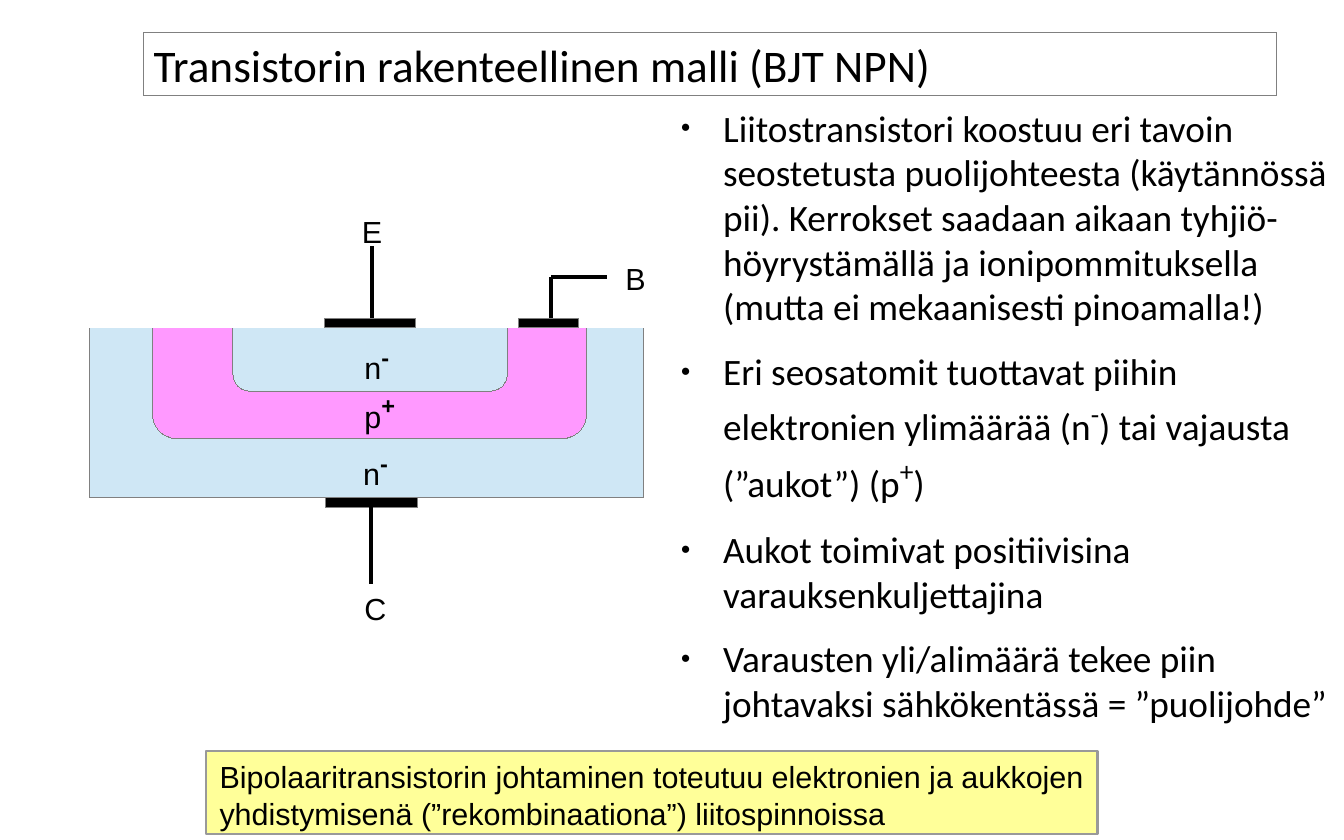
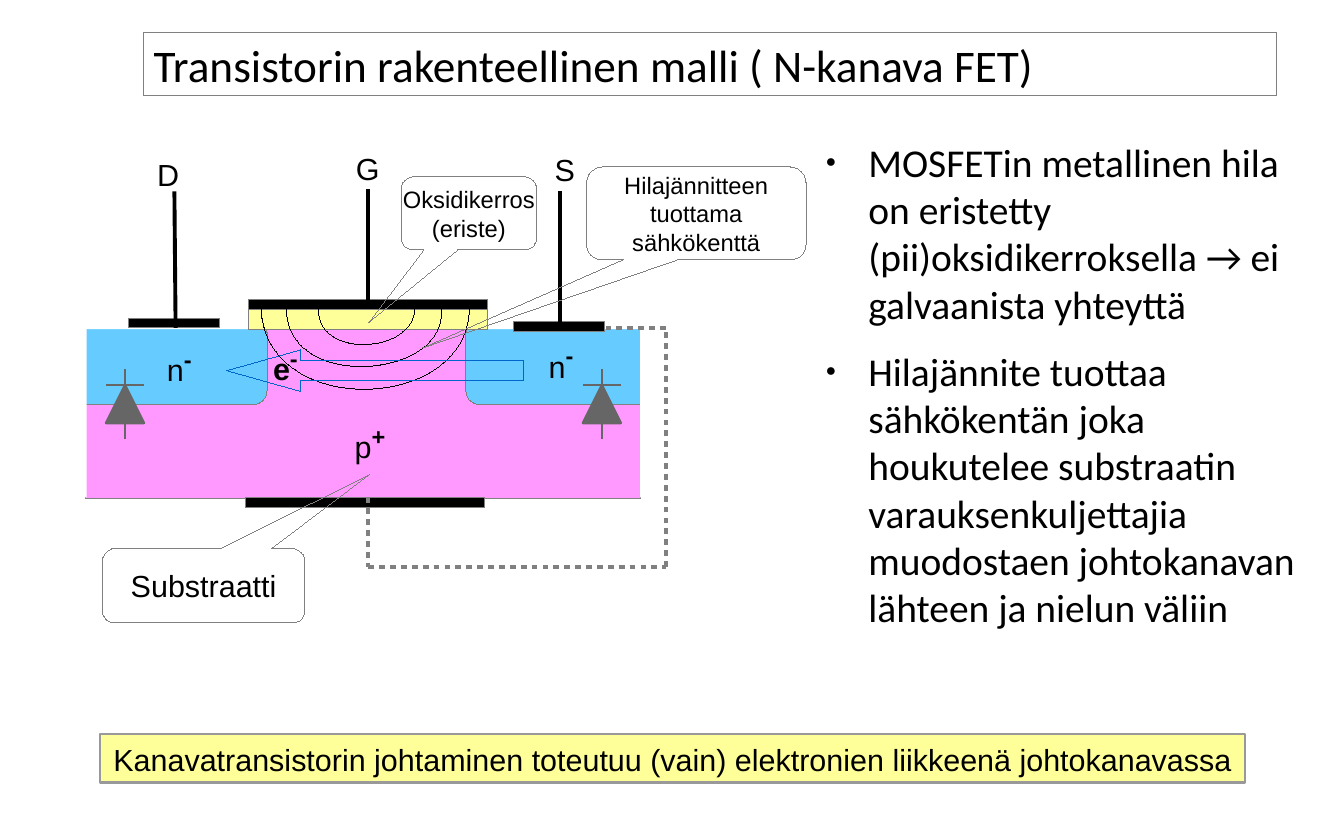
"""Builds two slides on the structure of bipolar and field-effect transistors."""
import lxml.etree
import pptx
import pptx.dml.color
import pptx.enum.shapes
import pptx.enum.text
import pptx.oxml.ns
import pptx.util

Inches, Pt, qn = pptx.util.Inches, pptx.util.Pt, pptx.oxml.ns.qn
Kind = pptx.enum.shapes.MSO_SHAPE
Align, Anchor = pptx.enum.text.PP_ALIGN, pptx.enum.text.MSO_ANCHOR
Fit = pptx.enum.text.MSO_AUTO_SIZE

BLACK, GREY, WHITE, SILICON = "000000", "808080", "FFFFFF", "CFE7F5"
PINK, BLUE, YELLOW, DIODE, ARROW = "FF99FF", "66CCFF", "FFFF99", "666666", "0066CC"
TITLE_AREA = (1.18, 0.27, 9.29, 0.51)
BAR, LEAD, HAIRLINE = 0.08, 2.3, 0.01
ROUND = [0.167]

BJT = {
    "title": "Transistorin rakenteellinen malli (BJT NPN)",
    "body_area": (5.46, 0.86, 5.46, 5.69),
    "body_size": 22,
    "body": [
        "Liitostransistori koostuu eri tavoin seostetusta puolijohteesta (käytännössä pii). "
        "Kerrokset saadaan aikaan tyhjiö-höyrystämällä ja ionipommituksella "
        "(mutta ei mekaanisesti pinoamalla!)",
        "Eri seosatomit tuottavat piihin elektronien ylimäärää (n^-^) tai vajausta (”aukot”) (p^+^)",
        "Aukot toimivat positiivisina varauksenkuljettajina",
        "Varausten yli/alimäärä tekee piin johtavaksi sähkökentässä = ”puolijohde”",
    ],
    "note": "Bipolaaritransistorin johtaminen toteutuu elektronien ja aukkojen\n"
            "yhdistymisenä (”rekombinaationa”) liitospinnoissa",
    "note_area": (1.69, 6.16, 7.31, 0.68),
    "regions": [
        ((0.73, 2.69, 4.55, 1.39), SILICON, GREY, Kind.RECTANGLE),
        ((1.25, 2.35, 3.56, 1.25), PINK, GREY, Kind.ROUNDED_RECTANGLE),
        ((1.91, 2.35, 2.25, 0.86), SILICON, GREY, Kind.ROUNDED_RECTANGLE),
        ((0.72, 2.14, 4.56, 0.55), WHITE, None, Kind.RECTANGLE),
    ],
    "contacts": [(2.67, 4.08, 0.75), (2.66, 2.61, 0.75), (4.25, 2.61, 0.49)],
    "leads": [
        [(3.04, 4.16), (3.04, 4.79)],
        [(3.05, 2.61), (3.05, 2.02)],
        [(4.52, 2.61), (4.52, 2.27), (4.98, 2.27)],
    ],
    "labels": [
        ("C", 2.89, 4.79), ("E", 2.87, 1.7), ("B", 5.03, 2.08),
        ("n^-", 2.89, 2.73), ("n^-", 2.88, 3.6), ("p^+", 2.89, 3.13),
    ],
}

FET = {
    "title": "Transistorin rakenteellinen malli ( N-kanava FET)",
    "body_area": (6.65, 1.13, 4.11, 4.99),
    "body_size": 23.3,
    "body": [
        "MOSFETin metallinen hila on eristetty (pii)oksidikerroksella → ei galvaanista yhteyttä",
        "Hilajännite tuottaa sähkökentän joka houkutelee substraatin varauksenkuljettajia "
        "muodostaen johtokanavan lähteen ja nielun väliin",
    ],
    "note": "Kanavatransistorin johtaminen toteutuu (vain) elektronien liikkeenä johtokanavassa",
    "note_area": (0.82, 6.02, 9.39, 0.4),
    "regions": [
        ((0.7, 2.7, 4.55, 1.39), PINK, GREY, Kind.RECTANGLE),
        ((0.58, 2.61, 1.61, 0.71), BLUE, GREY, Kind.ROUNDED_RECTANGLE),
        ((3.82, 2.61, 1.61, 0.71), BLUE, GREY, Kind.ROUNDED_RECTANGLE),
        ((0.17, 2.54, 0.54, 1.54), WHITE, None, Kind.RECTANGLE),
        ((5.25, 2.54, 0.54, 1.54), WHITE, None, Kind.RECTANGLE),
        ((0.7, 2.23, 4.55, 0.47), WHITE, None, Kind.RECTANGLE),
        ((2.04, 2.53, 1.96, 0.17), YELLOW, GREY, Kind.RECTANGLE),
    ],
    "contacts": [(1.05, 2.61, 0.75), (2.04, 2.46, 1.96), (4.21, 2.64, 0.75), (2.01, 4.08, 1.96)],
    "leads": [
        [(1.44, 2.69), (1.43, 1.57)],
        [(3.02, 2.46), (3.02, 1.55)],
        [(4.59, 2.69), (4.59, 1.57)],
    ],
    "labels": [
        ("D", 1.19, 1.23), ("G", 2.82, 1.18), ("S", 4.45, 1.19),
        ("n^-", 1.27, 2.75), ("n^-", 4.4, 2.72), ("p^+", 2.81, 3.38),
    ],
}

FIELD_LINES = [
    ((2.35, 2.53), (2.35, 3.22), (3.67, 3.11), (3.62, 2.53)),
    ((2.61, 2.53), (2.61, 2.96), (3.4, 2.89), (3.4, 2.53)),
    ((2.14, 2.53), (2.18, 3.44), (3.83, 3.39), (3.85, 2.53)),
]
CALLOUTS = [
    ("Oksidikerros\n(eriste)", 14, (3.29, 1.45, 1.11, 0.6), (-0.739, 1.487)),
    ("Hilajännitteen\ntuottama\nsähkökenttä", 14, (4.81, 1.37, 1.8, 0.76), (-1.248, 1.454)),
    ("Substraatti", 18, (0.84, 4.5, 1.66, 0.61), (0.818, -1.497)),
]
DIODES = [0.87, 4.78]
SUBSTRATE_LINK = [(3.02, 4.08), (3.02, 4.65), (5.46, 4.65), (5.46, 2.69), (4.97, 2.69)]


def rgb(code):
    return pptx.dml.color.RGBColor.from_string(code)


def inches(lengths):
    return [Inches(length) for length in lengths]


def paint(shape, fill, line, width=HAIRLINE):
    shape.shadow.inherit = False
    if fill:
        shape.fill.solid()
        shape.fill.fore_color.rgb = rgb(fill)
    else:
        shape.fill.background()
    if line:
        shape.line.color.rgb = rgb(line)
        shape.line.width = Pt(width)
    else:
        shape.line.fill.background()


def add_box(slide, area, fill, line, kind=Kind.RECTANGLE, adjust=(), width=HAIRLINE):
    shape = slide.shapes.add_shape(kind, *inches(area))
    for index, value in enumerate(adjust):
        shape.adjustments[index] = value
    paint(shape, fill, line, width)
    return shape


def add_wire(slide, points, color=BLACK, width=LEAD, dashed=False):
    for start, end in zip(points, points[1:]):
        wire = slide.shapes.add_connector(
            pptx.enum.shapes.MSO_CONNECTOR.STRAIGHT, *inches(start + end))
        wire.line.color.rgb = rgb(color)
        wire.line.width = Pt(width)
        properties = wire._element.spPr
        if dashed:
            dash = lxml.etree.SubElement(properties.find(qn("a:ln")), qn("a:custDash"))
            lxml.etree.SubElement(dash, qn("a:ds"), d="150000", sp="130000")
        lxml.etree.SubElement(properties, qn("a:effectLst"))


def write(frame, text, size, font="Arial", align=Align.LEFT, raised=24, bold=False, raised_bold=True):
    """Fills a frame; pieces between carets are superscripts."""
    for number, line in enumerate(text.split("\n")):
        paragraph = frame.add_paragraph() if number else frame.paragraphs[0]
        paragraph.alignment = align
        paragraph.space_before = Pt(0)
        for index, piece in enumerate(line.split("^")):
            run = paragraph.add_run()
            run.text = piece
            run.font.name = font
            run.font.color.rgb = rgb(BLACK)
            run.font.size = Pt(raised if index % 2 else size)
            run.font.bold = bold or (index % 2 == 1 and raised_bold)
            if index % 2:
                run._r.get_or_add_rPr().set("baseline", "33000")


def set_margins(frame, across, down):
    frame.margin_left = frame.margin_right = Inches(across)
    frame.margin_top = frame.margin_bottom = Inches(down)


def add_label(slide, text, left, top, bold=False):
    width = {"p^+": 0.45, "n^-": 0.4, "e^-": 0.42}.get(text, 0.37)
    height = 0.48 if "^" in text else 0.38
    frame = slide.shapes.add_textbox(*inches((left, top, width, height))).text_frame
    frame.word_wrap = False
    frame.auto_size = Fit.SHAPE_TO_FIT_TEXT
    write(frame, text, 18, bold=bold)


def add_bullet(paragraph):
    properties = paragraph._p.get_or_add_pPr()
    properties.set("marL", str(Inches(0.47)))
    properties.set("indent", str(Inches(-0.35)))
    color = lxml.etree.SubElement(properties, qn("a:buClr"))
    lxml.etree.SubElement(color, qn("a:srgbClr"), val=BLACK)
    lxml.etree.SubElement(properties, qn("a:buSzPct"), val="45000")
    lxml.etree.SubElement(properties, qn("a:buFont"), typeface="Arial")
    lxml.etree.SubElement(properties, qn("a:buChar"), char="●")


def place(shape, area):
    shape.left, shape.top, shape.width, shape.height = inches(area)


def style_layout(layout):
    title = layout.placeholders[0]
    place(title, TITLE_AREA)
    title.line.color.rgb = rgb(GREY)
    title.line.width = Pt(HAIRLINE)


def add_transistor(deck, layout, content):
    slide = deck.slides.add_slide(layout)
    title, body = slide.shapes.title, slide.placeholders[1]
    frame = title.text_frame
    set_margins(frame, 0, 0)
    frame.margin_left = Inches(0.08)
    frame.vertical_anchor = Anchor.MIDDLE
    write(frame, content["title"], 26.7, "Calibri")

    place(body, content["body_area"])
    frame = body.text_frame
    set_margins(frame, 0, 0)
    write(frame, "\n".join(content["body"]), content["body_size"], "Calibri", raised=28, raised_bold=False)
    for paragraph in frame.paragraphs:
        paragraph.space_after = Pt(11.7)
        add_bullet(paragraph)
    for heading_or_list in (title, body):
        heading_or_list.text_frame.auto_size = Fit.NONE

    for area, fill, line, kind in content["regions"]:
        add_box(slide, area, fill, line, kind, ROUND if kind == Kind.ROUNDED_RECTANGLE else ())
    for left, top, width in content["contacts"]:
        add_box(slide, (left, top, width, BAR), BLACK, GREY)
    for points in content["leads"]:
        add_wire(slide, points)
    for label in content["labels"]:
        add_label(slide, *label)

    note = add_box(slide, content["note_area"], YELLOW, "999999", width=1.5).text_frame
    set_margins(note, 0.11, 0.06)
    note.word_wrap = False
    note.vertical_anchor = Anchor.TOP
    write(note, content["note"], 18)
    return slide


def add_field_line(slide, controls, steps=32):
    points = []
    for step in range(steps + 1):
        t = step / steps
        weights = ((1 - t) ** 3, 3 * t * (1 - t) ** 2, 3 * t * t * (1 - t), t ** 3)
        points.append([Inches(sum(w * c[axis] for w, c in zip(weights, controls))) for axis in (0, 1)])
    outline = slide.shapes.build_freeform(*points[0])
    outline.add_line_segments(points[1:], close=False)
    paint(outline.convert_to_shape(), None, BLACK)


def add_fet_details(slide):
    for controls in FIELD_LINES:
        add_field_line(slide, controls)
    for text, size, area, tip in CALLOUTS:
        frame = add_box(slide, area, None, GREY, Kind.ROUNDED_RECTANGULAR_CALLOUT, [*tip, *ROUND]).text_frame
        frame.word_wrap = False
        frame.vertical_anchor = Anchor.MIDDLE
        write(frame, text, size, align=Align.CENTER)
    side, top = 0.31, 3.16
    for left in DIODES:
        middle = left + side / 2
        add_box(slide, (left, top, side, side), DIODE, DIODE, Kind.ISOSCELES_TRIANGLE, width=1.5)
        add_wire(slide, [(left, top), (left + side, top)], DIODE, 1.5)
        add_wire(slide, [(middle, 3.03), (middle, 3.6)], DIODE, 1.5)
    add_box(slide, (1.86, 2.87, 2.43, 0.34), None, ARROW, Kind.LEFT_ARROW, (0.5, 1.776))
    add_label(slide, "e^-", 2.14, 2.74, bold=True)
    add_wire(slide, SUBSTRATE_LINK, GREY, dashed=True)


def main():
    deck = pptx.Presentation()
    deck.slide_width, deck.slide_height = Inches(11.02), Inches(6.89)
    layout = deck.slide_layouts[1]
    style_layout(layout)
    add_transistor(deck, layout, BJT)
    add_fet_details(add_transistor(deck, layout, FET))
    deck.save("out.pptx")


if __name__ == "__main__":
    main()
